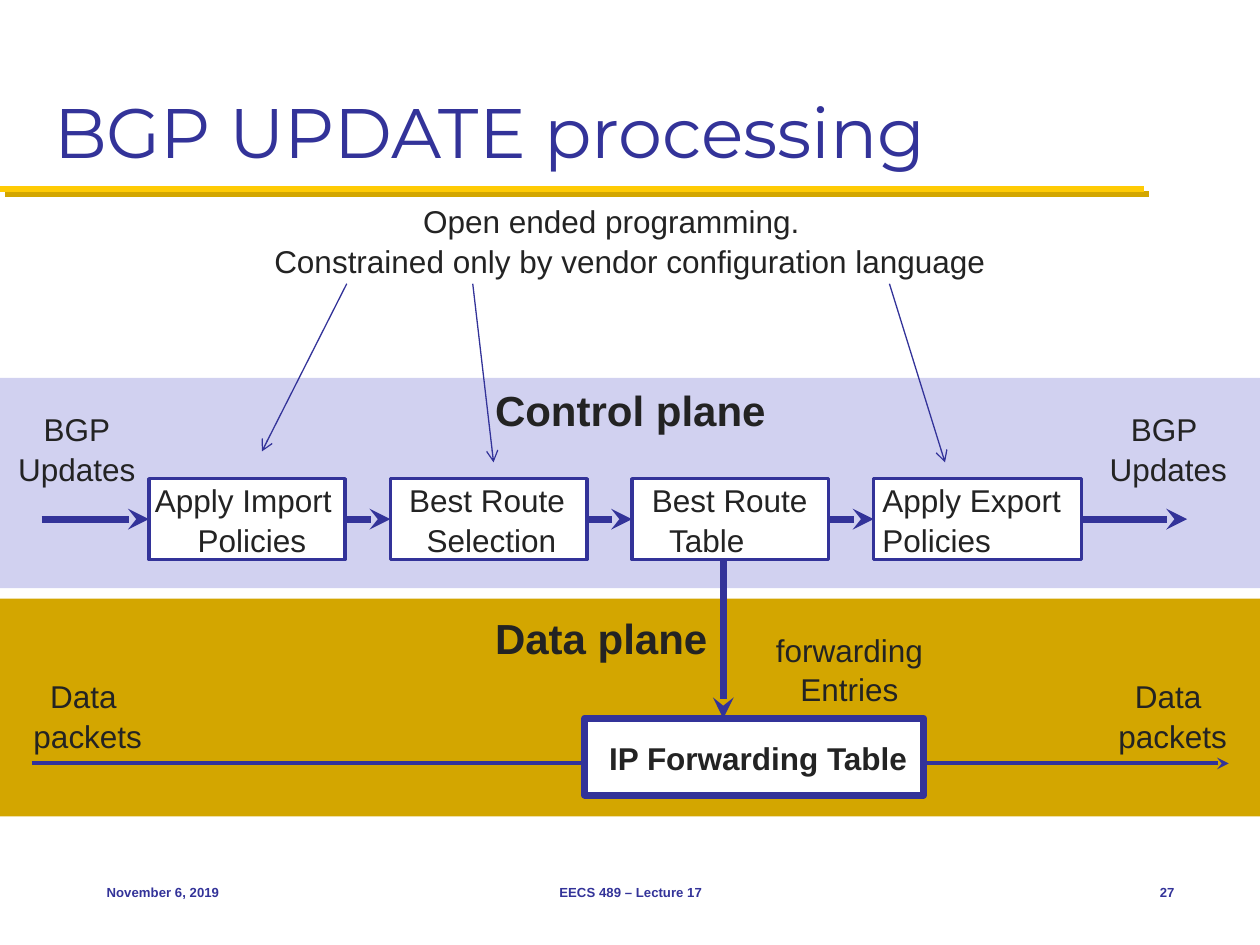
from lxml import etree
from pptx import Presentation
from pptx.dml.color import RGBColor
from pptx.enum.shapes import MSO_CONNECTOR, MSO_SHAPE
from pptx.enum.text import MSO_ANCHOR, PP_ALIGN
from pptx.oxml.ns import qn
from pptx.util import Cm, Pt

RECTANGLE = MSO_SHAPE.RECTANGLE
STRAIGHT = MSO_CONNECTOR.STRAIGHT
LEFT, CENTER, RIGHT = PP_ALIGN.LEFT, PP_ALIGN.CENTER, PP_ALIGN.RIGHT
TOP, MIDDLE, BOTTOM = MSO_ANCHOR.TOP, MSO_ANCHOR.MIDDLE, MSO_ANCHOR.BOTTOM
LEFT_SIDE, RIGHT_SIDE = 1, 3

COLORS = {
    "blue": "333399",
    "lilac": "D1D1F0",
    "gold": "D3A600",
    "yellow": "FFCB05",
    "text": "232323",
    "white": "FFFFFF",
}
BOX_TOP, BOX_HEIGHT, BOX_STEP = 9.65, 1.63, 4.87
FLOW_Y = BOX_TOP + BOX_HEIGHT / 2


def color(name):
    return RGBColor.from_string(COLORS[name])


def write_text(frame, text, size=18, bold=False, align=LEFT, anchor=TOP,
               font="Arial", ink="text"):
    frame.text = text
    frame.vertical_anchor = anchor
    for paragraph in frame.paragraphs:
        paragraph.alignment = align
        paragraph.line_spacing = 1.05 if size == 18 else 1.0
        paragraph.font.name = font
        paragraph.font.size = Pt(size)
        paragraph.font.bold = bold
        paragraph.font.color.rgb = color(ink)


def indent(paragraph, width):
    properties = paragraph._p.get_or_add_pPr()
    properties.set("marL", str(Cm(width)))
    properties.set("indent", "0")


def add_label(slide, text, left, top, width, height, **style):
    box = slide.shapes.add_textbox(Cm(left), Cm(top), Cm(width), Cm(height))
    box.text_frame.word_wrap = False
    write_text(box.text_frame, text, **style)
    return box


def add_rectangle(slide, left, top, width, height, fill, line_width=None):
    shape = slide.shapes.add_shape(RECTANGLE, Cm(left), Cm(top), Cm(width), Cm(height))
    shape.shadow.inherit = False
    shape.fill.solid()
    shape.fill.fore_color.rgb = color(fill)
    if line_width:
        shape.line.color.rgb = color("blue")
        shape.line.width = Pt(line_width)
    else:
        shape.line.fill.background()
    return shape


def add_box(slide, text, left, top, width, height, line_width,
            margin_left, margin_right=0, **style):
    """Outlined white box holding its own text."""
    box = add_rectangle(slide, left, top, width, height, "white", line_width)
    frame = box.text_frame
    frame.margin_left, frame.margin_right = Cm(margin_left), Cm(margin_right)
    frame.margin_top = frame.margin_bottom = 0
    write_text(frame, text, anchor=MIDDLE, **style)
    return box


def add_line(slide, start, end, width, head=None, ink="blue"):
    """Straight line with an optional arrowhead; returns it and its effect list."""
    line = slide.shapes.add_connector(
        STRAIGHT, *(Cm(value) for value in (*start, *end)))
    line.line.color.rgb = color(ink)
    line.line.width = Pt(width)
    if head:
        etree.SubElement(line.line._get_or_add_ln(), qn("a:tailEnd"), type=head)
    effects = etree.SubElement(line._element.spPr, qn("a:effectLst"))
    return line, effects


def add_title(slide):
    _, effects = add_line(slide, (0, 3.81), (23.06, 3.81), 3.5, ink="yellow")
    shadow = etree.SubElement(effects, qn("a:outerShdw"), dist=str(Pt(4.2)),
                              dir="2700000", algn="ctr", rotWithShape="0")
    etree.SubElement(shadow, qn("a:srgbClr"), val=COLORS["gold"])
    title = add_label(slide, "BGP UPDATE processing", 0.84, 0.43, 23.7, 3.18,
                      size=40, font="Montserrat", ink="blue", anchor=BOTTOM)
    title.text_frame.word_wrap = True


def add_planes(slide):
    add_rectangle(slide, 0, 12.07, 25.4, 4.39, "gold")
    add_rectangle(slide, 0, 7.62, 25.4, 4.24, "lilac")
    add_label(slide, "Data plane", 9.73, 12.22, 4.83, 1.27, size=24, bold=True)
    add_label(slide, "Control plane", 9.73, 7.62, 6.02, 1.27, size=24, bold=True)


def add_control_flow(slide):
    steps = [
        # text, width, left margin, right margin, second-line indent, alignment
        ("Apply Import\nPolicies", 3.96, 0, 0.15, 0.35, CENTER),
        ("Best Route\nSelection", 3.96, 0.38, 0, 0.35, LEFT),
        ("Best Route\nTable", 3.96, 0.4, 0, 0.35, LEFT),
        ("Apply Export\nPolicies", 4.19, 0.18, 0, 0, LEFT),
    ]
    boxes = []
    for index, (text, width, left, right, second_indent, align) in enumerate(steps):
        box = add_box(slide, text, 3 + index * BOX_STEP, BOX_TOP, width, BOX_HEIGHT,
                      2, left, right, align=align)
        indent(box.text_frame.paragraphs[1], second_indent)
        boxes.append(box)

    for source, target in zip([None] + boxes, boxes + [None]):
        arrow, _ = add_line(slide, (0.84, FLOW_Y), (23.93, FLOW_Y), 4, "stealth")
        if source:
            arrow.begin_connect(source, RIGHT_SIDE)
        if target:
            arrow.end_connect(target, LEFT_SIDE)

    add_label(slide, "BGP\nUpdates", 0.1, 8.1, 2.9, 1.8, align=CENTER)
    add_label(slide, "BGP \nUpdates", 22.1, 8.1, 2.9, 1.8, align=CENTER)


def add_data_flow(slide):
    add_line(slide, (0.64, 15.39), (24.77, 15.39), 2.25, "stealth")
    add_line(slide, (14.58, 11.3), (14.58, 14.48), 4, "stealth")
    add_box(slide, "IP Forwarding Table", 11.79, 14.48, 6.83, 1.55, 4, 0.49, bold=True)
    add_label(slide, "forwarding\nEntries", 15.37, 12.55, 3.51, 1.8, align=CENTER)
    for left in (0.41, 22.28):
        add_label(slide, "Data \vpackets", left, 13.49, 2.72, 1.8, align=CENTER)


def add_remark(slide):
    remark = add_label(
        slide,
        "Open ended programming.\nConstrained only by vendor configuration language",
        5.28, 3.91, 14.99, 1.8)
    indent(remark.text_frame.paragraphs[0], 3)
    for start, end in [((6.99, 5.72), (5.28, 9.1)),
                       ((9.53, 5.72), (9.95, 9.32)),
                       ((17.93, 5.72), (19.05, 9.32))]:
        add_line(slide, start, end, 0.75, "arrow")


def add_footer(slide):
    for text, left, width, align in [("November 6, 2019", 1.9, 5.28, LEFT),
                                     ("EECS 489 – Lecture 17", 8.69, 8.05, CENTER),
                                     ("27", 22.23, 1.7, RIGHT)]:
        add_label(slide, text, left, 17.35, width, 1.27, size=7.5, bold=True,
                  align=align, anchor=MIDDLE, ink="blue")


def main():
    presentation = Presentation()
    presentation.slide_width, presentation.slide_height = Cm(25.4), Cm(19.05)
    slide = presentation.slides.add_slide(presentation.slide_layouts[6])
    add_title(slide)
    add_planes(slide)
    add_control_flow(slide)
    add_data_flow(slide)
    add_remark(slide)
    add_footer(slide)
    presentation.save("out.pptx")


if __name__ == "__main__":
    main()
